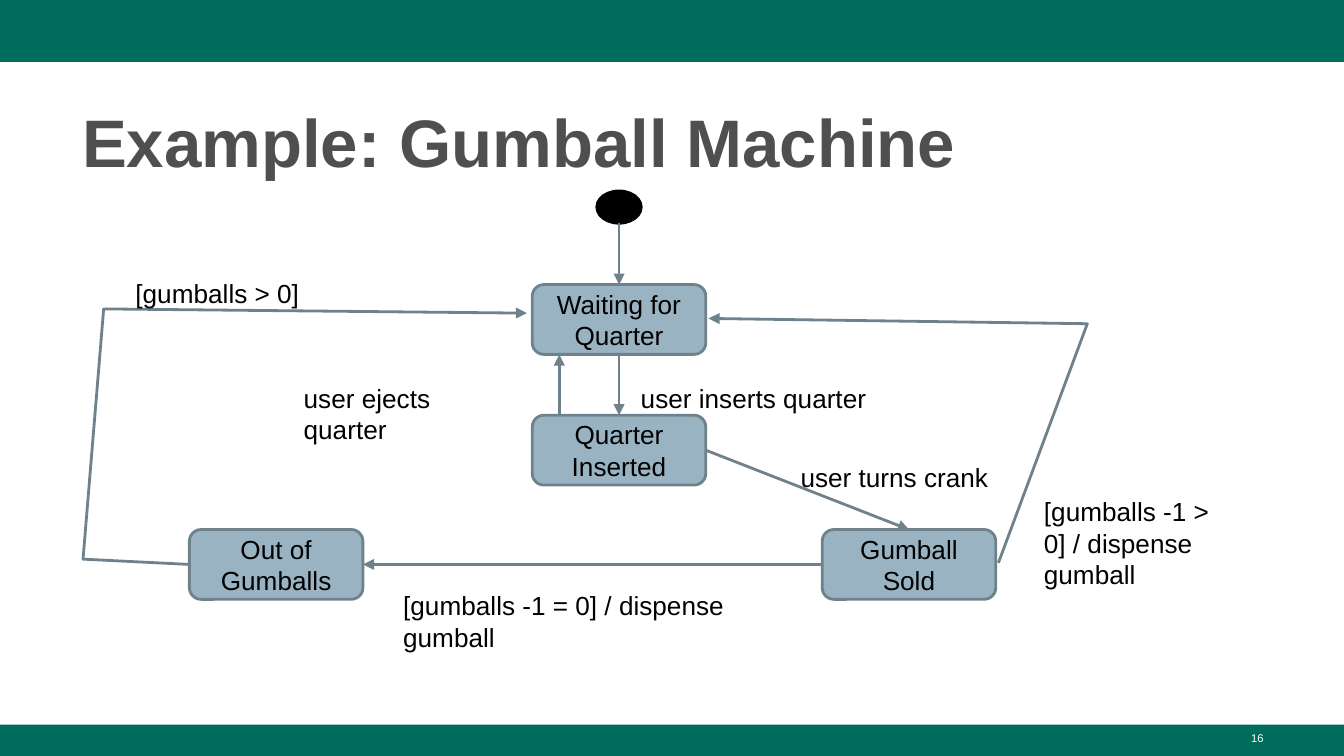
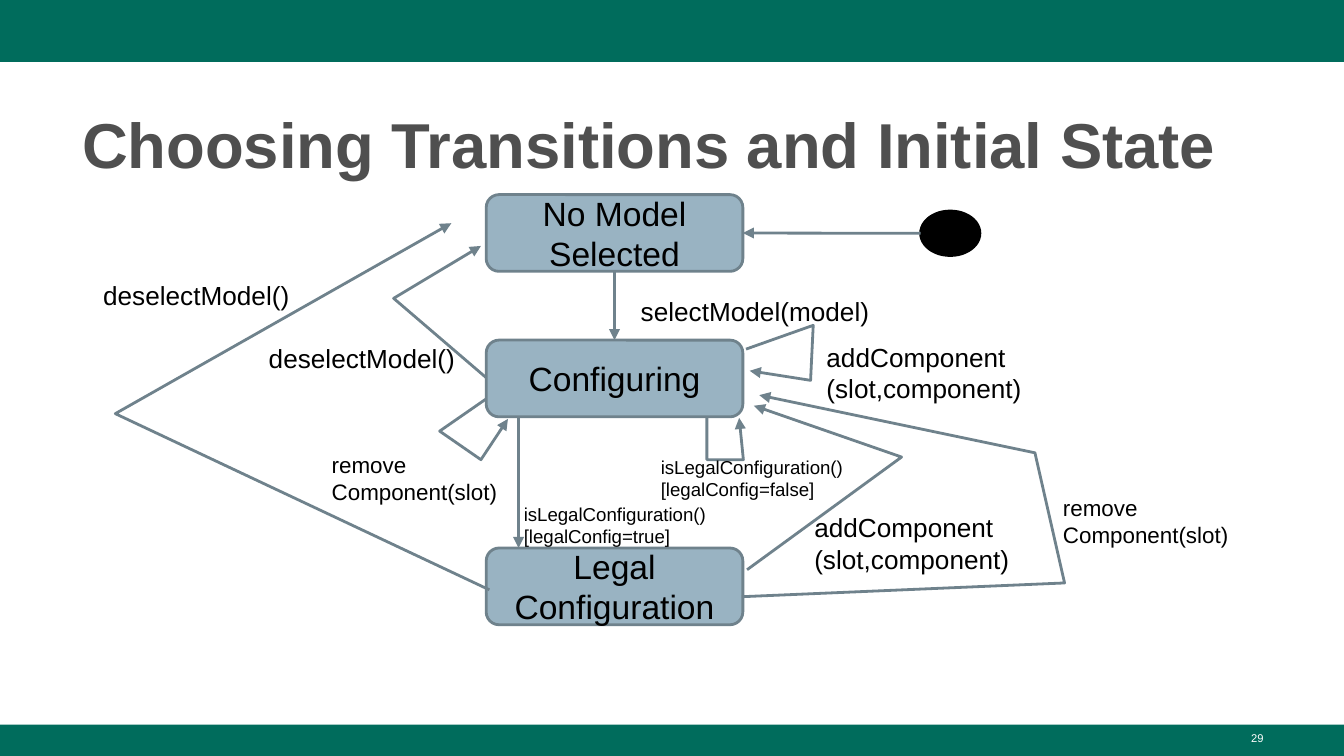
"""Build two state-diagram slides that share one frame and one diagram style."""
from dataclasses import dataclass
from typing import NamedTuple

from lxml.etree import SubElement
from pptx import Presentation
from pptx.dml.color import RGBColor
from pptx.enum.shapes import MSO_CONNECTOR, MSO_SHAPE
from pptx.enum.text import MSO_ANCHOR, PP_ALIGN
from pptx.oxml.ns import qn
from pptx.util import Cm, Pt

GREEN, BLUE, SLATE = "006C5C", "99B3C2", "6F828C"
GREY, BLACK, WHITE = "4F4F4F", "000000", "FFFFFF"
FONT = "Arial"
PAGE_WIDTH, PAGE_HEIGHT = 25.4, 14.29
TOP_BAND, BOTTOM_BAND = 1.17, 0.59
LINE_WIDTH = 1.5
INSET, SLIM_INSET = 0.25, 0.13
LABEL_HEIGHT = 0.6
TOP, LEFT, BOTTOM, RIGHT = range(4)


class Point(NamedTuple):
    x: float
    y: float


class Joint(NamedTuple):
    state: str
    side: int


class Area(NamedTuple):
    left: float
    top: float
    width: float
    height: float


class Label(NamedTuple):
    text: str
    left: float
    top: float
    width: float
    size: int = 14


class Arrow(NamedTuple):
    start: Point | Joint
    end: Point | Joint


@dataclass
class Diagram:
    title: str
    title_size: int
    number: str
    state_width: float
    state_height: float
    state_size: int
    states: dict[str, Point]
    initial: Area
    arrows: list[Arrow]
    bent_arrows: list[list[Point]]
    labels: list[Label]


GUMBALL = Diagram(
    title="Example: Gumball Machine",
    title_size=36,
    number="16",
    state_width=3.28,
    state_height=1.32,
    state_size=14,
    states={
        "Waiting for Quarter": Point(10.06, 5.38),
        "Quarter Inserted": Point(10.06, 7.85),
        "Gumball Sold": Point(15.54, 10.01),
        "Out of Gumballs": Point(3.58, 10.01),
    },
    initial=Area(11.28, 3.61, 0.84, 0.61),
    arrows=[
        Arrow(Point(11.7, 4.22), Joint("Waiting for Quarter", TOP)),
        Arrow(Joint("Waiting for Quarter", BOTTOM), Joint("Quarter Inserted", TOP)),
        Arrow(Point(10.57, 7.85), Point(10.57, 6.7)),
        Arrow(Joint("Quarter Inserted", RIGHT), Joint("Gumball Sold", TOP)),
        Arrow(Joint("Gumball Sold", LEFT), Joint("Out of Gumballs", RIGHT)),
    ],
    bent_arrows=[
        [Point(18.87, 10.64), Point(20.55, 6.12), Point(13.39, 6.02)],
        [Point(3.58, 10.67), Point(1.57, 10.57), Point(1.96, 5.84), Point(9.96, 5.92)],
    ],
    labels=[
        Label("user inserts quarter", 11.86, 6.98, 7.62),
        Label("user ejects quarter", 5.49, 6.98, 4.57),
        Label("user turns crank", 14.88, 8.48, 4.57),
        Label("[gumballs > 0]", 2.31, 5, 5.56),
        Label("[gumballs -1 > 0] / dispense gumball", 19.48, 9.12, 4.37),
        Label("[gumballs -1 = 0] / dispense gumball", 7.37, 10.9, 7.98),
    ],
)

CONFIGURATION = Diagram(
    title="Choosing Transitions and Initial State",
    title_size=34,
    number="29",
    state_width=4.85,
    state_height=1.45,
    state_size=18,
    states={
        "No Model Selected": Point(9.19, 3.68),
        "Configuring": Point(9.19, 6.43),
        "Legal Configuration": Point(9.19, 10.36),
    },
    initial=Area(17.4, 3.99, 1.12, 0.84),
    arrows=[
        Arrow(Point(17.4, 4.41), Joint("No Model Selected", RIGHT)),
        Arrow(Joint("No Model Selected", BOTTOM), Joint("Configuring", TOP)),
        Arrow(Point(9.8, 7.88), Point(9.8, 10.36)),
    ],
    bent_arrows=[
        [Point(14.02, 11.28), Point(20.12, 11.02), Point(19.56, 8.56), Point(14.35, 7.47)],
        [Point(9.19, 7.14), Point(7.44, 5.64), Point(9.09, 4.65)],
        [Point(9.25, 11.15), Point(2.18, 7.82), Point(8.53, 4.22)],
        [Point(14.1, 6.6), Point(15.37, 6.15), Point(15.32, 7.19), Point(14.17, 7.01)],
        [Point(14.12, 10.77), Point(17.04, 8.64), Point(14.25, 7.67)],
        [Point(9.19, 7.54), Point(8.31, 8.15), Point(9.09, 8.69), Point(9.6, 7.92)],
        [Point(13.36, 7.88), Point(13.36, 8.69), Point(14.05, 8.69), Point(13.97, 7.9)],
    ],
    labels=[
        Label("selectModel(model)", 11.86, 5.33, 4.98),
        Label("deselectModel()", 4.83, 6.22, 4.98),
        Label("deselectModel()", 1.7, 5.03, 4.98),
        Label("addComponent\v(slot,component)", 15.37, 6.2, 4.37),
        Label("addComponent\v(slot,component)", 15.14, 9.42, 4.37),
        Label("remove\vComponent(slot)", 6.02, 8.28, 4.57, 12),
        Label("remove\vComponent(slot)", 19.84, 9.09, 4.57, 12),
        Label("isLegalConfiguration() [legalConfig=true]", 9.65, 9.25, 4.06, 10),
        Label("isLegalConfiguration() [legalConfig=false]", 12.24, 8.36, 4.98, 10),
    ],
)


def color(value: str) -> RGBColor:
    return RGBColor.from_string(value)


def lengths(values) -> list[Cm]:
    return [Cm(value) for value in values]


def write(shape, text: str, size: int, ink: str = BLACK, align=PP_ALIGN.LEFT,
          anchor=MSO_ANCHOR.TOP, bold: bool = False, inset: float = INSET) -> None:
    frame = shape.text_frame
    frame.text = text
    frame.word_wrap = True
    frame.vertical_anchor = anchor
    frame.margin_left = frame.margin_right = Cm(INSET)
    frame.margin_top = frame.margin_bottom = Cm(inset)
    paragraph = frame.paragraphs[0]
    paragraph.alignment = align
    for span in paragraph.runs:
        span.font.name = FONT
        span.font.size = Pt(size)
        span.font.bold = bold
        span.font.color.rgb = color(ink)


def add_block(page, kind, area: Area, fill: str, outline: str | None = None):
    block = page.shapes.add_shape(kind, *lengths(area))
    block.shadow.inherit = False
    block.fill.solid()
    block.fill.fore_color.rgb = color(fill)
    if outline:
        block.line.color.rgb = color(outline)
        block.line.width = Pt(LINE_WIDTH)
    else:
        block.line.fill.background()
    return block


def add_text(page, area: Area, text: str, size: int, **style) -> None:
    box = page.shapes.add_textbox(*lengths(area))
    write(box, text, size, **style)


def style_arrow(arrow) -> None:
    arrow.line.color.rgb = color(SLATE)
    arrow.line.width = Pt(LINE_WIDTH)
    SubElement(arrow.get_or_add_ln(), qn("a:tailEnd"), type="triangle")
    SubElement(arrow.element.spPr, qn("a:effectLst"))


def add_straight_arrow(page, arrow: Arrow, boxes: dict) -> None:
    ends = [end if isinstance(end, Point) else Point(0, 0) for end in arrow]
    connector = page.shapes.add_connector(
        MSO_CONNECTOR.STRAIGHT, *lengths(ends[0]), *lengths(ends[1]))
    for end, connect in zip(arrow, (connector.begin_connect, connector.end_connect)):
        if isinstance(end, Joint):
            connect(boxes[end.state], end.side)
    style_arrow(connector)


def add_bent_arrow(page, points: list[Point]) -> None:
    corners = [tuple(lengths(point)) for point in points]
    builder = page.shapes.build_freeform(*corners[0])
    builder.add_line_segments(corners[1:], close=False)
    outline = builder.convert_to_shape()
    outline.fill.background()
    style_arrow(outline)


def add_frame(page, diagram: Diagram) -> None:
    bottom = PAGE_HEIGHT - BOTTOM_BAND
    for top, height in ((0, TOP_BAND), (bottom, BOTTOM_BAND)):
        add_block(page, MSO_SHAPE.RECTANGLE, Area(0, top, PAGE_WIDTH, height), GREEN)
    title = page.shapes.title
    title.left, title.top, title.width, title.height = lengths((1.3, 1.7, 22.83, 1.85))
    write(title, diagram.title, diagram.title_size, ink=GREY, bold=True,
          anchor=MSO_ANCHOR.BOTTOM, inset=SLIM_INSET)
    title.text_frame.paragraphs[0].line_spacing = 1.08
    add_text(page, Area(18.21, bottom, 5.92, BOTTOM_BAND), diagram.number, 6,
             ink=WHITE, align=PP_ALIGN.RIGHT, inset=SLIM_INSET)


def add_diagram(deck, diagram: Diagram) -> None:
    page = deck.slides.add_slide(deck.slide_layouts.get_by_name("Title Only"))
    add_frame(page, diagram)
    boxes = {}
    for name, corner in diagram.states.items():
        area = Area(*corner, diagram.state_width, diagram.state_height)
        boxes[name] = add_block(page, MSO_SHAPE.ROUNDED_RECTANGLE, area, BLUE, SLATE)
        write(boxes[name], name, diagram.state_size,
              align=PP_ALIGN.CENTER, anchor=MSO_ANCHOR.MIDDLE)
    add_block(page, MSO_SHAPE.OVAL, diagram.initial, BLACK, BLACK)
    for arrow in diagram.arrows:
        add_straight_arrow(page, arrow, boxes)
    for points in diagram.bent_arrows:
        add_bent_arrow(page, points)
    for label in diagram.labels:
        area = Area(label.left, label.top, label.width, LABEL_HEIGHT)
        add_text(page, area, label.text, label.size)


def main() -> None:
    deck = Presentation()
    deck.slide_width, deck.slide_height = lengths((PAGE_WIDTH, PAGE_HEIGHT))
    for diagram in (GUMBALL, CONFIGURATION):
        add_diagram(deck, diagram)
    deck.save("out.pptx")


if __name__ == "__main__":
    main()
